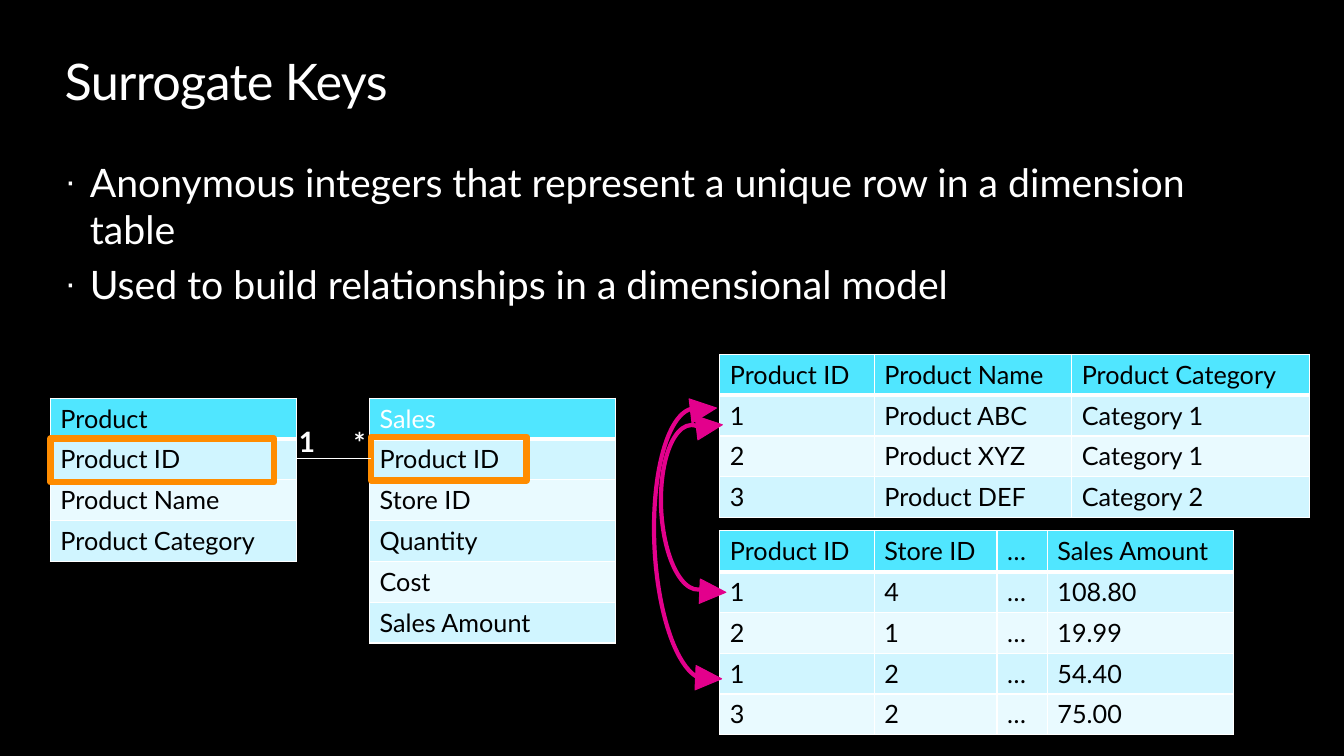
import pptx
import pptx.util
import pptx.dml.color
import pptx.enum.shapes
import lxml.etree

FORMS = pptx.enum.shapes.MSO_SHAPE
COLS, ROWS = 160, 90


def color(code):
    return pptx.dml.color.RGBColor.from_string(code)


def child(parent, tag, **attrs):
    name = "{http://schemas.openxmlformats.org/drawingml/2006/main}" + tag
    return lxml.etree.SubElement(parent, name, attrs)


class Deck:
    font = "Lato"
    white, black = "FFFFFF", "000000"
    head, bands = "50E6FF", ("D0F5FF", "E9FAFF")
    mark, link = "FF8C00", "E3008C"
    row = 4.86

    def __init__(self):
        self.show = pptx.Presentation()
        self.show.slide_width = pptx.util.Inches(13.33)
        self.show.slide_height = pptx.util.Inches(7.5)
        self.slide = self.show.slides.add_slide(self.show.slide_layouts[6])
        self.paint(self.slide.background.fill, self.black)

    def across(self, cols):
        return round(self.show.slide_width * cols / COLS)

    def down(self, rows):
        return round(self.show.slide_height * rows / ROWS)

    def place(self, left, top, width, height):
        return (self.across(left), self.down(top),
                self.across(width), self.down(height))

    def paint(self, fill, code):
        fill.solid()
        fill.fore_color.rgb = color(code)

    def style(self, para, size, code, bold=False):
        para.font.name = self.font
        para.font.size = pptx.util.Pt(size)
        para.font.bold = bold
        para.font.color.rgb = color(code)

    def text(self, box, lines, size, bold=False, bullet=False):
        frame = self.slide.shapes.add_textbox(*self.place(*box)).text_frame
        frame.word_wrap = True
        frame.margin_left = frame.margin_right = 0
        frame.margin_top = frame.margin_bottom = 0
        for i, line in enumerate(lines):
            para = frame.paragraphs[0] if i == 0 else frame.add_paragraph()
            para.text = line
            if i:
                para.space_before = pptx.util.Pt(size * 0.2)
            if bullet:
                props = para._p.get_or_add_pPr()
                indent = pptx.util.Inches(0.25)
                props.set("marL", str(indent))
                props.set("indent", str(-indent))
                child(props, "buSzPct", val="90000")
                child(props, "buFont", typeface="Arial")
                child(props, "buChar", char="·")
            self.style(para, size, self.white, bold)
        return frame

    def table(self, left, top, widths, data, title=black):
        box = self.place(left, top, sum(widths), self.row * len(data))
        grid = self.slide.shapes.add_table(len(data), len(widths), *box).table
        for col, width in zip(grid.columns, widths):
            col.width = self.across(width)
        for r, line in enumerate(data):
            grid.rows[r].height = self.down(self.row)
            for c, word in enumerate(line):
                cell = grid.cell(r, c)
                cell.text = word
                self.style(cell.text_frame.paragraphs[0], 18,
                           self.black if r else title)
                self.edge(cell, 1 if r else 3)
                self.paint(cell.fill, self.bands[(r - 1) % 2] if r else self.head)

    def edge(self, cell, base):
        props = cell._tc.get_or_add_tcPr()
        for tag, width in (("lnL", 1), ("lnR", 1), ("lnT", 1), ("lnB", base)):
            line = child(props, tag, w=str(pptx.util.Pt(width)))
            child(child(line, "solidFill"), "srgbClr", val=self.white)

    def shape(self, home, form, box, code, width, turn=0, solid=False):
        item = home.shapes.add_shape(form, *self.place(*box))
        item.shadow.inherit = False
        item.rotation = turn
        item.line.color.rgb = color(code)
        item.line.width = pptx.util.Pt(width)
        if solid:
            self.paint(item.fill, code)
        else:
            item.fill.background()
        return item

    def frame(self, box):
        return self.shape(self.slide, FORMS.RECTANGLE, box, self.mark, 4.5)

    def line(self, start, end, item, side):
        wire = self.slide.shapes.add_connector(
            pptx.enum.shapes.MSO_CONNECTOR.STRAIGHT,
            self.across(start[0]), self.down(start[1]),
            self.across(end[0]), self.down(end[1]))
        wire.begin_connect(item, side)
        wire.line.color.rgb = color(self.white)
        wire.line.width = pptx.util.Pt(0.75)
        child(wire._element.spPr, "effectLst")

    def curve(self, box, angles, tips):
        group = self.slide.shapes.add_group_shape()
        arc = self.shape(group, FORMS.ARC, box, self.link, 3, 177.4)
        for i, angle in enumerate(angles):
            arc.adjustments[i] = angle
        for (left, top), turn in zip(tips, (83.3, 92.5)):
            self.shape(group, FORMS.ISOSCELES_TRIANGLE, (left, top, 2.9, 3.1),
                       self.link, 0.75, turn, True)


def main():
    deck = Deck()
    title = deck.text((7.7, 6, 144.6, 7.3), ["Surrogate Keys"], 36)
    title.paragraphs[0].runs[0].font._element.set("spc", "-50")
    deck.text((7.7, 18.8, 144.6, 63.5), [
        "Anonymous integers that represent a unique row in a dimension table",
        "Used to build relationships in a dimensional model"], 28, bullet=True)

    product = ["Product", "Product ID", "Product Name", "Product Category"]
    sales = ["Sales", "Product ID", "Store ID", "Quantity", "Cost", "Sales Amount"]
    deck.table(6, 47.4, [29.3], [[name] for name in product])
    deck.table(44, 47.4, [29.3], [[name] for name in sales], deck.white)

    deck.frame((6, 52.2, 26.6, 5.2))
    key = deck.frame((44.2, 52, 18.5, 5.2))
    deck.line((44.2, 54.6), (35.3, 54.6), key, 1)
    deck.text((42.1, 50.6, 1.9, 4.1), ["*"], 20, True)
    deck.text((35.6, 50.5, 3.8, 4.1), ["1"], 20, True)

    deck.table(85.7, 42.2, [18.4, 23.5, 28.3], [
        product[1:],
        ["1", "Product ABC", "Category 1"],
        ["2", "Product XYZ", "Category 1"],
        ["3", "Product DEF", "Category 2"]])
    deck.table(85.7, 63.2, [18.4, 14.6, 6, 22.2], [
        ["Product ID", "Store ID", "…", "Sales Amount"],
        ["1", "4", "…", "108.80"],
        ["2", "1", "…", "19.99"],
        ["1", "2", "…", "54.40"],
        ["3", "2", "…", "75.00"]])

    deck.curve((77.9, 48.6, 11, 32.3), (162, 56.2),
               [(82.3, 47.2), (82.9, 79.2)])
    deck.curve((78.7, 50.6, 8, 19.6), (160.92, 58.69),
               [(83, 49.2), (83.4, 68.9)])
    deck.show.save("out.pptx")


if __name__ == "__main__":
    main()
